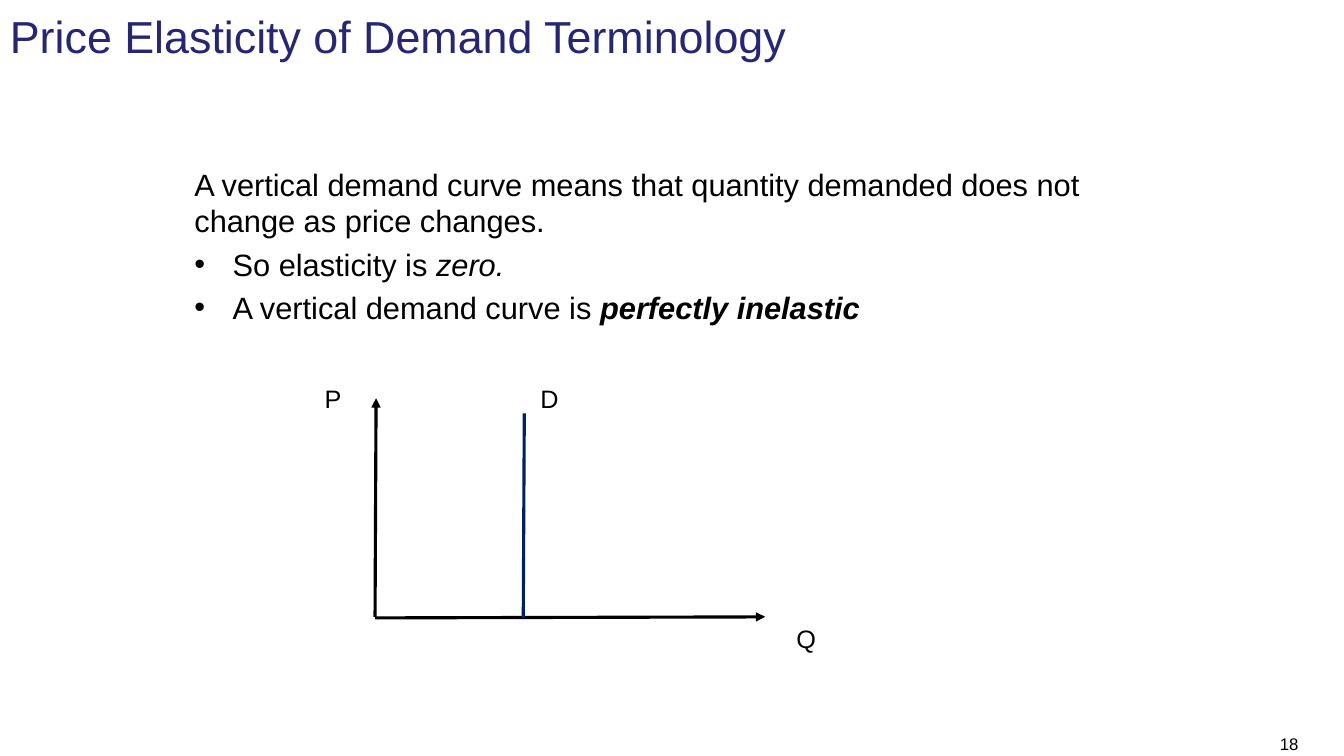
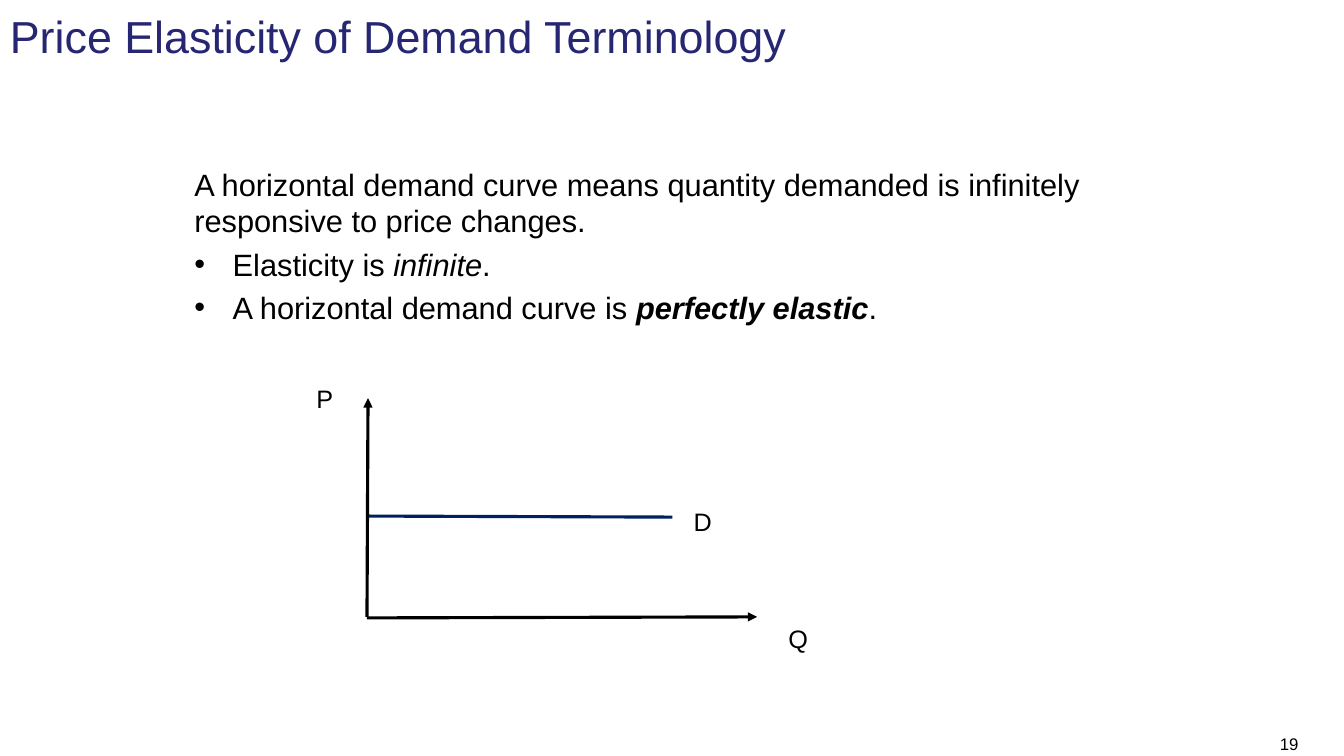
"""Build two slides on the limiting cases of price elasticity of demand."""
from dataclasses import dataclass
from typing import Any, NamedTuple

from lxml.etree import SubElement
from pptx import Presentation
from pptx.dml.color import RGBColor
from pptx.enum.shapes import MSO_CONNECTOR, MSO_SHAPE
from pptx.enum.text import MSO_ANCHOR, MSO_AUTO_SIZE, PP_ALIGN
from pptx.oxml.ns import qn
from pptx.util import Emu, Pt

EMU_PER_PX = 9144


@dataclass(frozen=True)
class Theme:
    """Colours, font and type sizes of the deck."""

    font: str = "Arial"
    title_color: RGBColor = RGBColor(0x26, 0x26, 0x73)
    ink: RGBColor = RGBColor(0, 0, 0)
    curve: RGBColor = RGBColor(0x00, 0x20, 0x60)
    paper: RGBColor = RGBColor(255, 255, 255)
    title_size: int = 32
    body_size: int = 22
    label_size: int = 18
    number_size: int = 12
    space_share: float = 0.2
    line_width: float = 2.25


class Point(NamedTuple):
    """A place on the slide in px."""

    x: int
    y: int


class Area(NamedTuple):
    """A rectangle on the slide in px."""

    left: int
    top: int
    width: int
    height: int


class Span(NamedTuple):
    """A stretch of text with its emphasis."""

    text: str
    italic: bool = False
    bold: bool = False


class Para(NamedTuple):
    """A paragraph of the body."""

    spans: tuple[Span, ...]
    bullet: bool = True


class Segment(NamedTuple):
    """A straight line of a graph."""

    start: Point
    end: Point
    color: RGBColor
    arrow: bool = False


class Label(NamedTuple):
    """A letter of a graph with the corner of its box."""

    text: str
    corner: Point


class Lesson(NamedTuple):
    """The content of one slide."""

    number: int
    paras: tuple[Para, ...]
    axis_x: int
    curve: tuple[Point, Point]
    curve_label: Point


THEME = Theme()
PAGE = Area(0, 0, 1333, 750)
TITLE = "Price Elasticity of Demand Terminology"
TITLE_AREA = Area(0, 0, 1333, 70)
BODY_AREA = Area(183, 159, 967, 549)
NUMBER_AREA = Area(1223, 725, 110, 25)
NUMBER_INSET = 45
BULLET_INDENT = 38
AXIS_TOP, AXIS_BOTTOM, AXIS_LENGTH = 395, 612, 387
LABEL_WIDTH, LABEL_HEIGHT = 39, 40

LESSONS = (
    Lesson(
        18,
        (
            Para((Span("A vertical demand curve means that quantity demanded does not change as price changes."),), False),
            Para((Span("So elasticity is "), Span("zero.", italic=True))),
            Para((Span("A vertical demand curve is "), Span("perfectly inelastic", True, True))),
        ),
        372,
        (Point(520, 410), Point(519, 613)),
        Point(526, 375),
    ),
    Lesson(
        19,
        (
            Para((Span("A horizontal demand curve means quantity demanded is infinitely responsive to price changes."),), False),
            Para((Span("Elasticity is "), Span("infinite", italic=True), Span("."))),
            Para((Span("A horizontal demand curve is "), Span("perfectly elastic", True, True), Span("."))),
        ),
        364,
        (Point(366, 512), Point(667, 513)),
        Point(678, 497),
    ),
)


def px(*lengths: int) -> list[Emu]:
    """Turn px into EMU."""
    return [Emu(length * EMU_PER_PX) for length in lengths]


def apply(target: Any, formats: dict[str, Any]) -> None:
    """Set each attribute named in the formats."""
    for name, value in formats.items():
        setattr(target, name, value)


def write_span(para: Any, span: Span, size: int, color: RGBColor) -> None:
    """Add a span of text to a paragraph."""
    run = para.add_run()
    run.text = span.text
    apply(run.font, {"name": THEME.font, "size": Pt(size), "bold": span.bold, "italic": span.italic})
    run.font.color.rgb = color


def add_text(shapes: Any, area: Area, text: str, size: int, color: RGBColor, frame_formats: dict[str, Any]) -> None:
    """Add a text box with a single line."""
    frame = shapes.add_textbox(*px(*area)).text_frame
    apply(frame, frame_formats)
    write_span(frame.paragraphs[0], Span(text), size, color)


def add_body(page: Any, paras: tuple[Para, ...]) -> None:
    """Add the statement and its bullets."""
    frame = page.shapes.add_textbox(*px(*BODY_AREA)).text_frame
    frame.word_wrap = True
    for index, content in enumerate(paras):
        para = frame.add_paragraph() if index else frame.paragraphs[0]
        para.space_before = Pt(THEME.body_size * THEME.space_share)
        if content.bullet:
            properties = para._p.get_or_add_pPr()
            indent = BULLET_INDENT * EMU_PER_PX
            properties.set("marL", str(indent))
            properties.set("indent", str(-indent))
            SubElement(properties, qn("a:buFont"), typeface=THEME.font)
            SubElement(properties, qn("a:buChar"), char="•")
        for span in content.spans:
            write_span(para, span, THEME.body_size, THEME.ink)


def add_segment(shapes: Any, segment: Segment) -> None:
    """Add a line or an arrow."""
    connector = shapes.add_connector(MSO_CONNECTOR.STRAIGHT, *px(*segment.start, *segment.end))
    connector.line.color.rgb = segment.color
    connector.line.width = Pt(THEME.line_width)
    if segment.arrow:
        SubElement(connector.line._get_or_add_ln(), qn("a:tailEnd"), type="triangle")
    SubElement(connector._element.spPr, qn("a:effectLst"))


def add_graph(page: Any, lesson: Lesson) -> None:
    """Add the axes, the demand curve and their letters as one group."""
    shapes = page.shapes.add_group_shape().shapes
    left = lesson.axis_x
    segments = (
        Segment(Point(left, AXIS_BOTTOM), Point(left + 1, AXIS_TOP), THEME.ink, True),
        Segment(Point(left, AXIS_BOTTOM + 1), Point(left + AXIS_LENGTH, AXIS_BOTTOM), THEME.ink, True),
        Segment(*lesson.curve, THEME.curve),
    )
    labels = (
        Label("D", lesson.curve_label),
        Label("Q", Point(left + AXIS_LENGTH + 21, AXIS_BOTTOM + 1)),
        Label("P", Point(left - 60, AXIS_TOP - 20)),
    )
    for segment in segments:
        add_segment(shapes, segment)
    formats = {"word_wrap": True, "auto_size": MSO_AUTO_SIZE.SHAPE_TO_FIT_TEXT}
    for label in labels:
        area = Area(*label.corner, LABEL_WIDTH, LABEL_HEIGHT)
        add_text(shapes, area, label.text, THEME.label_size, THEME.ink, formats)


def add_number(page: Any, number: int) -> None:
    """Add the page number in its white band."""
    box = page.shapes.add_shape(MSO_SHAPE.RECTANGLE, *px(*NUMBER_AREA))
    box.shadow.inherit = False
    box.fill.solid()
    box.fill.fore_color.rgb = THEME.paper
    box.line.fill.background()
    frame = box.text_frame
    apply(frame, {"vertical_anchor": MSO_ANCHOR.MIDDLE, "margin_right": px(NUMBER_INSET)[0]})
    para = frame.paragraphs[0]
    para.alignment = PP_ALIGN.RIGHT
    write_span(para, Span(str(number)), THEME.number_size, THEME.ink)


def add_page(deck: Any, lesson: Lesson) -> None:
    """Add one slide."""
    page = deck.slides.add_slide(deck.slide_layouts[6])
    add_number(page, lesson.number)
    formats = {"word_wrap": True, "vertical_anchor": MSO_ANCHOR.MIDDLE}
    add_text(page.shapes, TITLE_AREA, TITLE, THEME.title_size, THEME.title_color, formats)
    add_body(page, lesson.paras)
    add_graph(page, lesson)


def main() -> None:
    """Build and save the deck."""
    deck = Presentation()
    deck.slide_width, deck.slide_height = px(PAGE.width, PAGE.height)
    for lesson in LESSONS:
        add_page(deck, lesson)
    deck.save("out.pptx")


if __name__ == "__main__":
    main()
